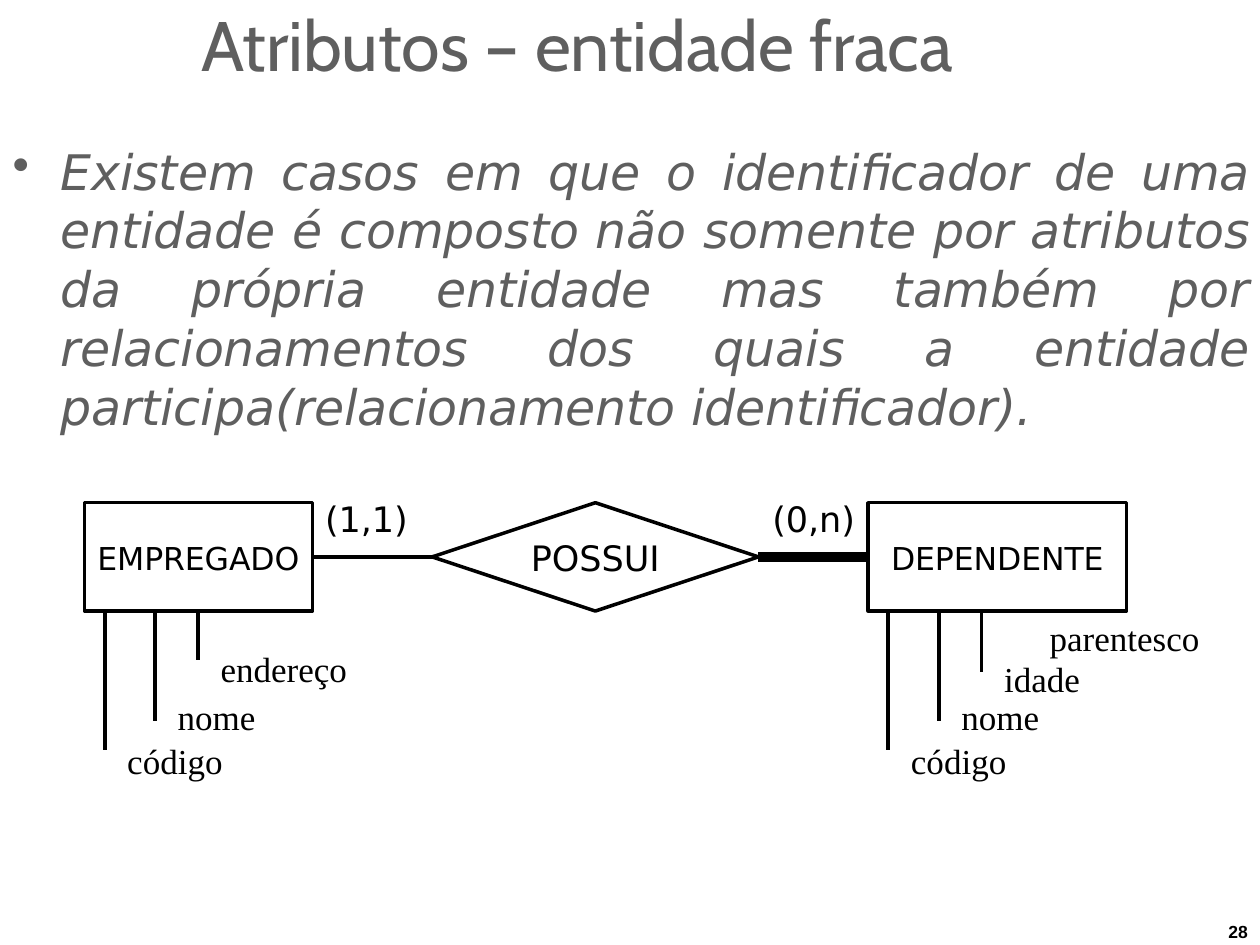
"""Build a slide on the attributes of a weak entity in an ER diagram."""
from dataclasses import dataclass

from lxml import etree
from pptx import Presentation
from pptx.dml.color import RGBColor
from pptx.enum import shapes, text
from pptx.oxml import ns
from pptx.util import Inches, Pt


@dataclass(frozen=True)
class TextStyle:
    font: str
    size: float
    color: str = "000000"
    bold: bool = False
    italic: bool = False
    spacing: int = 0


@dataclass(frozen=True)
class Theme:
    ink: str = "000000"
    paper: str = "FFFFFF"
    outline: float = 2
    stem: float = 2.25
    total: float = 6
    title: TextStyle = TextStyle("Cabin", 40, "5F5F5F", spacing=-5)
    body: TextStyle = TextStyle("DejaVu Sans", 28, "5F5F5F", italic=True, spacing=-5)
    entity: TextStyle = TextStyle("DejaVu Sans", 18, spacing=-5)
    relation: TextStyle = TextStyle("DejaVu Sans", 20, spacing=-5)
    attribute: TextStyle = TextStyle("Times New Roman", 20)
    number: TextStyle = TextStyle("Arial", 10, bold=True, spacing=-5)


@dataclass(frozen=True)
class Attribute:
    name: str
    stem_offset: float
    stem_length: float
    label_top: float
    label_width: float


@dataclass(frozen=True)
class Entity:
    name: str
    left: float
    width: float
    attributes: tuple[Attribute, ...]


THEME = Theme()
TOP, HEIGHT = 3.99, 0.86
MIDDLE, BOTTOM = TOP + HEIGHT / 2, TOP + HEIGHT
LABEL_GAP, LABEL_HEIGHT = 0.18, 0.36
DIAMOND_LEFT, DIAMOND_WIDTH = 3.43, 2.59
KEY_ATTRIBUTES = (
    Attribute("código", 0.16, 1.1, 5.86, 0.79),
    Attribute("nome", 0.56, 0.87, 5.51, 0.66),
)
EMPLOYEE = Entity("EMPREGADO", 0.67, 1.81, KEY_ATTRIBUTES + (
    Attribute("endereço", 0.9, 0.39, 5.13, 1.05),))
DEPENDENT = Entity("DEPENDENTE", 6.89, 2.05, KEY_ATTRIBUTES + (
    Attribute("idade", 0.9, 0.48, 5.21, 0.7),))
DEFINITION = (
    "Existem casos em que o identificador de uma entidade é composto não somente "
    "por atributos da própria entidade mas também por relacionamentos dos quais a "
    "entidade participa(relacionamento identificador)."
)


def write(frame, words: str, style: TextStyle):
    """Set the frame's single run of text and return its paragraph."""
    frame.word_wrap = True
    frame.margin_left = frame.margin_right = frame.margin_bottom = 0
    frame.margin_top = Inches(0.01)
    paragraph = frame.paragraphs[0]
    run = paragraph.add_run()
    run.text = words
    run.font.name, run.font.size = style.font, Pt(style.size)
    run.font.bold, run.font.italic = style.bold, style.italic
    run.font.color.rgb = RGBColor.from_string(style.color)
    run.font._element.set("spc", str(style.spacing))
    return paragraph


def add_label(slide, words: str, left: float, top: float, width: float,
              height: float, style: TextStyle):
    """Add a text box and return its paragraph."""
    box = slide.shapes.add_textbox(Inches(left), Inches(top), Inches(width), Inches(height))
    return write(box.text_frame, words, style)


def add_node(slide, kind, words: str, left: float, width: float, style: TextStyle) -> None:
    """Add an outlined diagram node with its name centred inside."""
    node = slide.shapes.add_shape(kind, Inches(left), Inches(TOP), Inches(width), Inches(HEIGHT))
    node.shadow.inherit = False
    node.fill.solid()
    node.fill.fore_color.rgb = RGBColor.from_string(THEME.paper)
    node.line.color.rgb = RGBColor.from_string(THEME.ink)
    node.line.width = Pt(THEME.outline)
    node.text_frame.vertical_anchor = text.MSO_ANCHOR.MIDDLE
    write(node.text_frame, words, style).alignment = text.PP_ALIGN.CENTER


def add_line(slide, x1: float, y1: float, x2: float, y2: float, weight: float) -> None:
    """Add a straight black line without a shadow."""
    line = slide.shapes.add_connector(
        shapes.MSO_CONNECTOR.STRAIGHT, Inches(x1), Inches(y1), Inches(x2), Inches(y2))
    line.line.color.rgb = RGBColor.from_string(THEME.ink)
    line.line.width = Pt(weight)
    etree.SubElement(line._element.spPr, ns.qn("a:effectLst"))


def add_entity(slide, entity: Entity) -> None:
    """Add an entity with its attribute stems and labels."""
    add_node(slide, shapes.MSO_SHAPE.RECTANGLE, entity.name, entity.left, entity.width,
             THEME.entity)
    for attribute in entity.attributes:
        stem = entity.left + attribute.stem_offset
        add_line(slide, stem, BOTTOM, stem, BOTTOM + attribute.stem_length, THEME.stem)
        add_label(slide, attribute.name, stem + LABEL_GAP, attribute.label_top,
                  attribute.label_width, LABEL_HEIGHT, THEME.attribute)


def add_definition(slide) -> None:
    """Add the justified, bulleted definition."""
    paragraph = add_label(slide, DEFINITION, 0.09, 1.11, 9.83, 2.36, THEME.body)
    paragraph.alignment = text.PP_ALIGN.JUSTIFY
    properties = paragraph._p.get_or_add_pPr()
    properties.set("marL", str(Inches(0.39)))
    properties.set("indent", str(-Inches(0.38)))
    etree.SubElement(properties, ns.qn("a:buChar")).set("char", "•")


def add_relationship(slide) -> None:
    """Add the relationship diamond, its links and cardinalities."""
    employee_right = EMPLOYEE.left + EMPLOYEE.width
    diamond_right = DIAMOND_LEFT + DIAMOND_WIDTH
    add_node(slide, shapes.MSO_SHAPE.DIAMOND, "POSSUI", DIAMOND_LEFT, DIAMOND_WIDTH,
             THEME.relation)
    add_line(slide, employee_right, MIDDLE, DIAMOND_LEFT, MIDDLE, THEME.stem)
    add_line(slide, diamond_right, MIDDLE, DEPENDENT.left, MIDDLE, THEME.total)
    for cardinality, left in (("(1,1)", 2.58), ("(0,n)", 6.13)):
        add_label(slide, cardinality, left, 3.94, 0.75, LABEL_HEIGHT, THEME.relation)


def main() -> None:
    """Assemble and save the slide."""
    deck = Presentation()
    deck.slide_width, deck.slide_height = Inches(10), Inches(7.5)
    slide = deck.slides.add_slide(deck.slide_layouts[6])
    add_label(slide, "Atributos – entidade fraca", 1.6, 0, 6.38, 0.69, THEME.title)
    add_definition(slide)
    for entity in (EMPLOYEE, DEPENDENT):
        add_entity(slide, entity)
    add_label(slide, "parentesco", 8.33, 4.88, 1.25, LABEL_HEIGHT, THEME.attribute)
    add_relationship(slide)
    add_label(slide, "28", 9.75, 7.3, 0.2, 0.18, THEME.number)
    deck.save("out.pptx")


if __name__ == "__main__":
    main()
